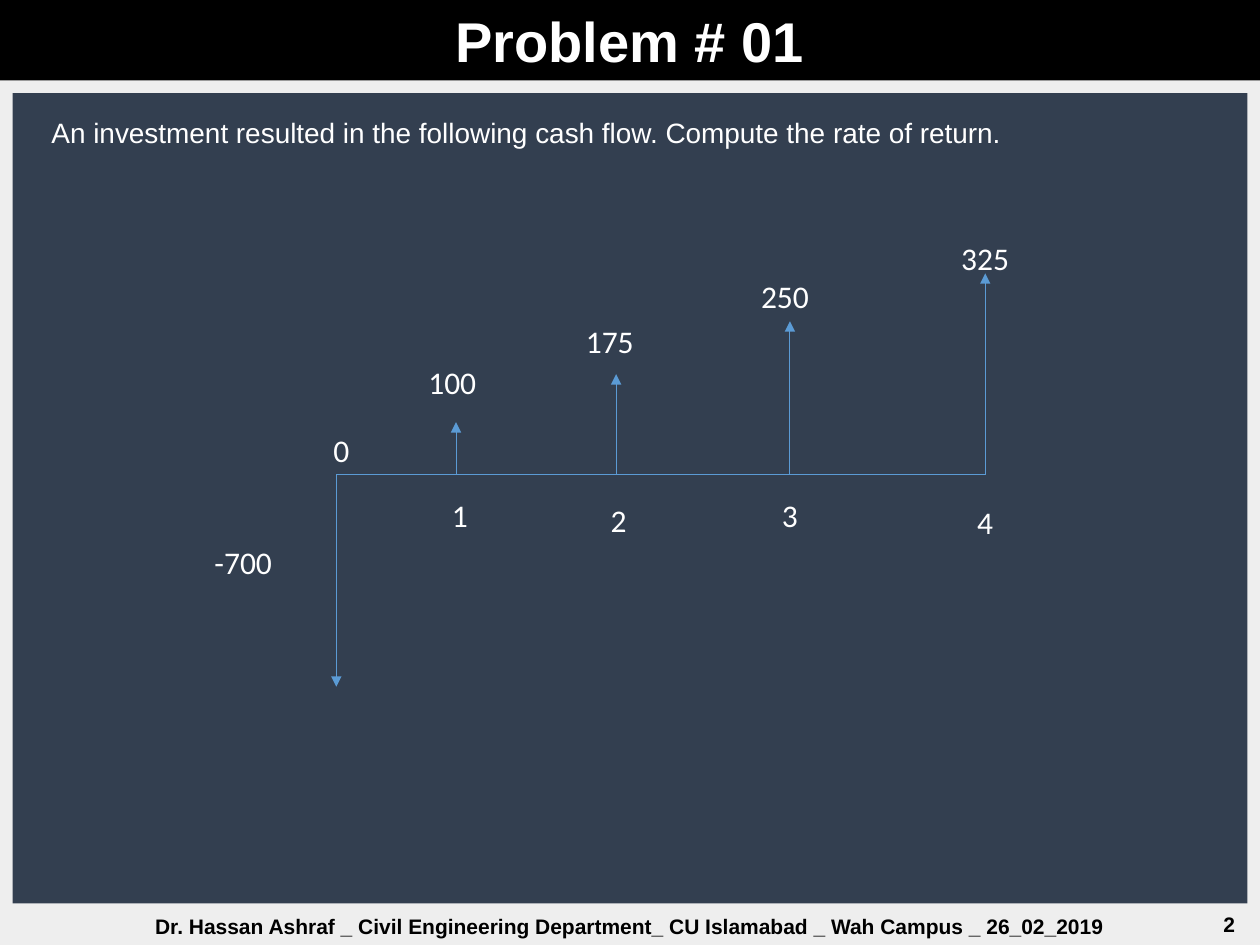
from lxml.etree import SubElement
from pptx import Presentation
from pptx.dml.color import RGBColor
from pptx.enum.shapes import MSO_CONNECTOR, MSO_SHAPE
from pptx.enum.text import MSO_ANCHOR, PP_ALIGN
from pptx.oxml.ns import qn
from pptx.util import Pt

COLORS = {
    "page_start": "EEEEEE",
    "page_end": "F0F0F0",
    "panel": "333F50",
    "bar": "000000",
    "light": "FFFFFF",
    "dark": "000000",
    "flow": "5B9BD5",
}
AXIS_Y = 271.4
LABEL_WIDTH, LABEL_HEIGHT = 75, 30

# period, x, arrow tip y, period label (centre x, top), amount, amount label (centre x, top)
CASH_FLOWS = [
    ("0", 192.2, 392.4, (195.1, 242.6), "-700", (139, 306.7)),
    ("1", 260.6, 241.2, (262.8, 280.1), "100", (258.5, 203.8)),
    ("2", 352.1, 213.8, (353.5, 283), "175", (348.5, 180.7)),
    ("3", 451.4, 183.6, (451.4, 280.1), "250", (448.6, 154.8)),
    ("4", 563, 156.2, (563, 283.7), "325", (563, 133.2)),
]


def rgb(name):
    return RGBColor.from_string(COLORS[name])


class SlideBuilder:
    """Holds the slide being built and its shared text and line style."""

    text_font = "Arial"
    label_font = "Calibri"
    line_width = 0.5

    def __init__(self, slide):
        self.slide = slide

    def background(self):
        fill = self.slide.background.fill
        fill.gradient()
        fill.gradient_angle = 0
        for stop, name in zip(fill.gradient_stops, ("page_start", "page_end")):
            stop.color.rgb = rgb(name)

    def set_text(self, shape, text, size, color, font=None, bold=False,
                 align=PP_ALIGN.CENTER, anchor=MSO_ANCHOR.TOP):
        frame = shape.text_frame
        frame.word_wrap = True
        frame.vertical_anchor = anchor
        paragraph = frame.paragraphs[0]
        paragraph.text = text
        paragraph.alignment = align
        paragraph.line_spacing = 1.0
        paragraph.space_before = Pt(0)
        paragraph.font.name = font or self.text_font
        paragraph.font.size = Pt(size)
        paragraph.font.bold = bold
        paragraph.font.color.rgb = rgb(color)

    def title(self, text, left, top, width, height):
        bar = self.slide.shapes.title
        bar.left, bar.top, bar.width, bar.height = map(Pt, (left, top, width, height))
        bar.fill.solid()
        bar.fill.fore_color.rgb = rgb("bar")
        self.set_text(bar, text, 32, "light", bold=True)

    def panel(self, left, top, width, height):
        panel = self.slide.shapes.add_shape(
            MSO_SHAPE.RECTANGLE, *map(Pt, (left, top, width, height)))
        panel.shadow.inherit = False
        panel.fill.solid()
        panel.fill.fore_color.rgb = rgb("panel")
        panel.line.fill.background()

    def text(self, text, left, top, width, height, size, color, **style):
        box = self.slide.shapes.add_textbox(*map(Pt, (left, top, width, height)))
        self.set_text(box, text, size, color, **style)

    def label(self, text, center_x, top):
        self.text(text, center_x - LABEL_WIDTH / 2, top, LABEL_WIDTH, LABEL_HEIGHT,
                  18, "light", font=self.label_font)

    def line(self, x1, y1, x2, y2, arrow=False):
        line = self.slide.shapes.add_connector(
            MSO_CONNECTOR.STRAIGHT, *map(Pt, (x1, y1, x2, y2)))
        line.line.color.rgb = rgb("flow")
        line.line.width = Pt(self.line_width)
        if arrow:
            outline = line._element.spPr.find(qn("a:ln"))
            SubElement(outline, qn("a:tailEnd"), type="triangle")
        SubElement(line._element.spPr, qn("a:effectLst"))


def main():
    presentation = Presentation()
    presentation.slide_width, presentation.slide_height = Pt(720), Pt(540)
    builder = SlideBuilder(presentation.slides.add_slide(presentation.slide_layouts[5]))

    builder.background()
    builder.panel(7.2, 53.3, 705.6, 463)
    builder.title("Problem # 01", 0, 0, 720, 46)
    builder.text("2", 550.8, 513.4, 162, 28.8, 12, "dark", bold=True,
                 align=PP_ALIGN.RIGHT, anchor=MSO_ANCHOR.MIDDLE)
    builder.text("Dr. Hassan Ashraf _ Civil Engineering Department_ CU Islamabad _ "
                 "Wah Campus _ 26_02_2019", 7.2, 514.8, 705.6, 28.8, 12, "dark",
                 bold=True, anchor=MSO_ANCHOR.MIDDLE)
    builder.text("An investment resulted in the following cash flow. "
                 "Compute the rate of return.", 22.3, 62.6, 663, 26.6, 16, "light",
                 align=PP_ALIGN.JUSTIFY)

    builder.line(CASH_FLOWS[0][1], AXIS_Y, CASH_FLOWS[-1][1], AXIS_Y)
    for period, x, tip_y, period_spot, amount, amount_spot in CASH_FLOWS:
        builder.line(x, AXIS_Y, x, tip_y, arrow=True)
        builder.label(period, *period_spot)
        builder.label(amount, *amount_spot)

    presentation.save("out.pptx")


if __name__ == "__main__":
    main()
